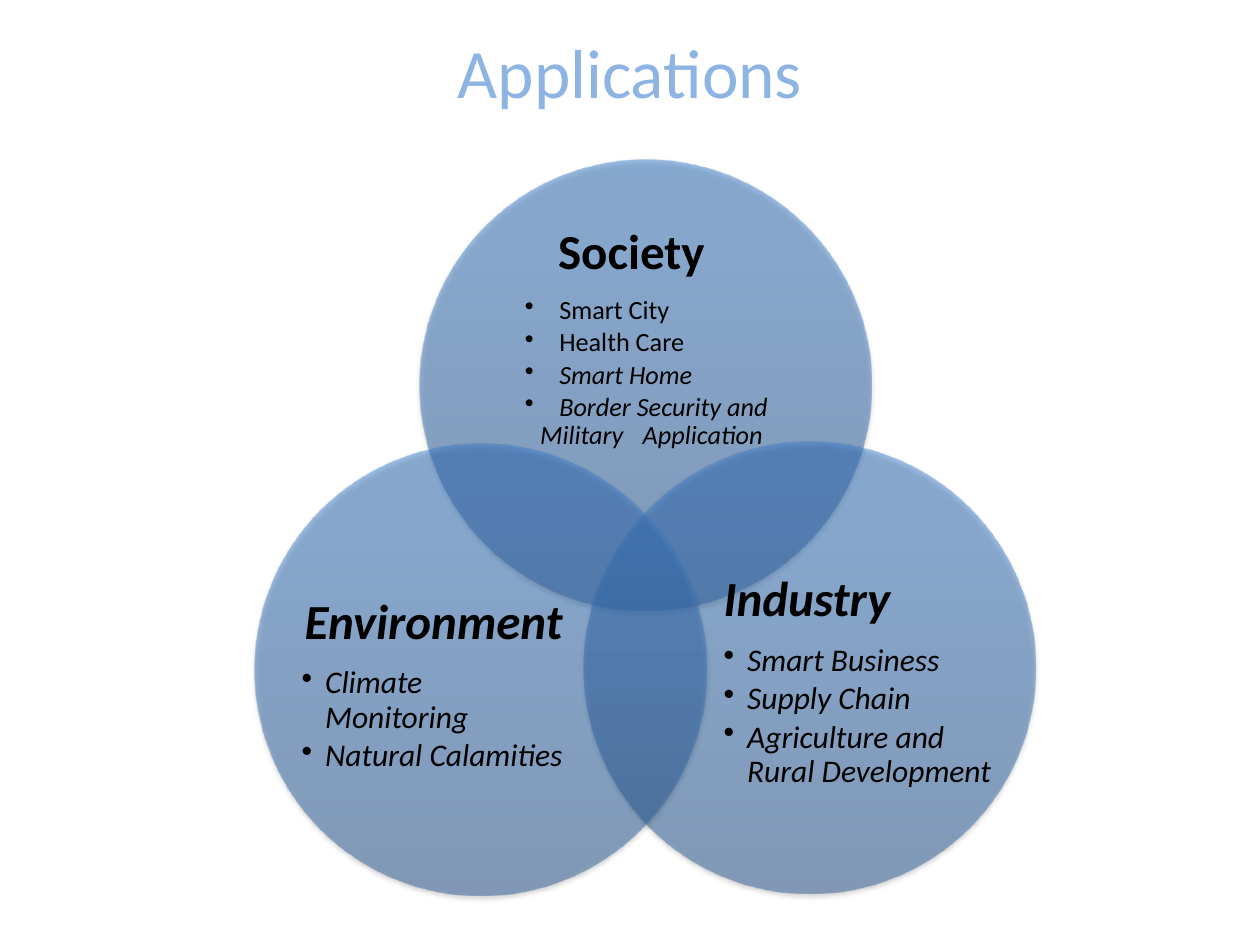
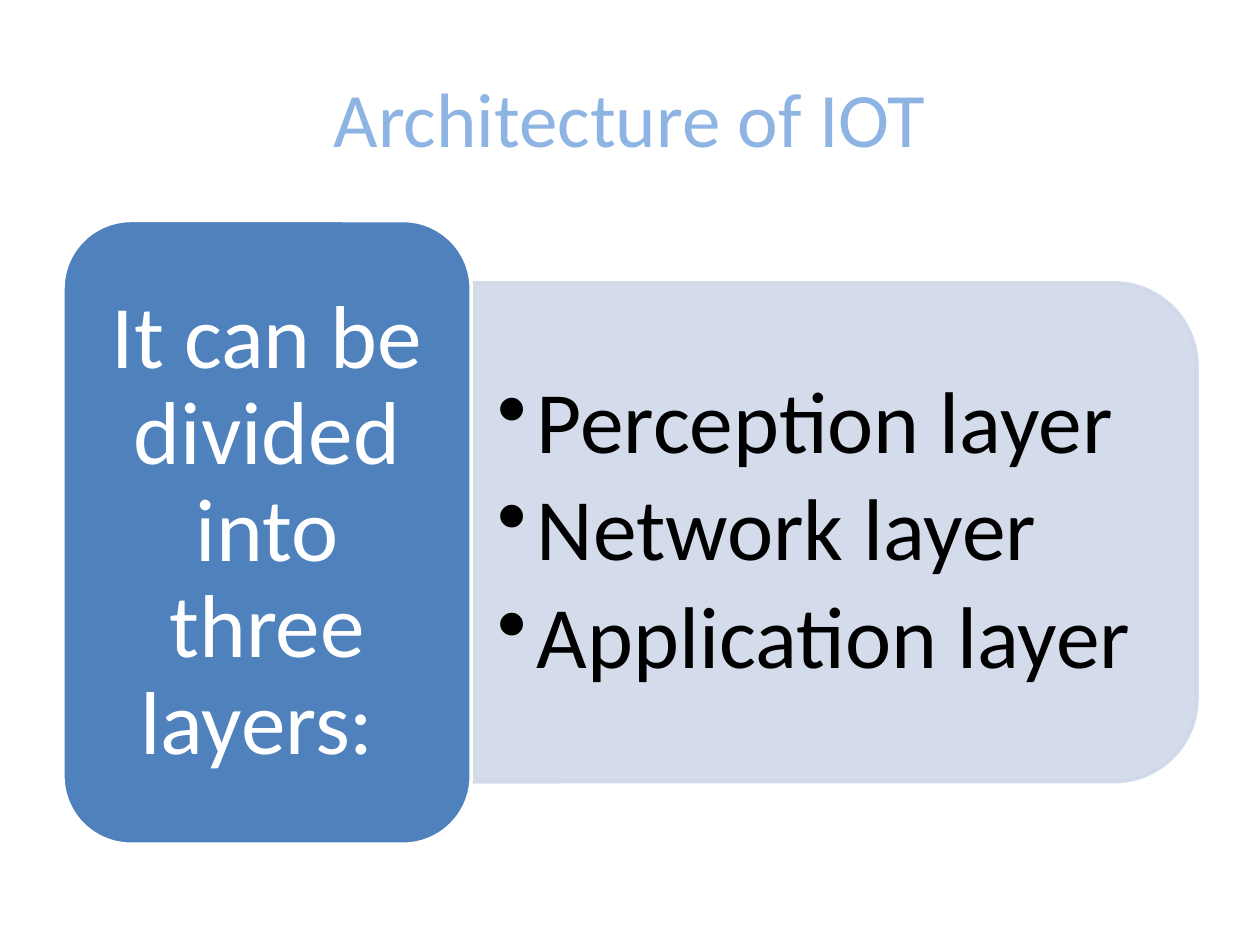
from pptx import Presentation, util as u
from pptx.dml.color import RGBColor
from pptx.enum import shapes, text
from pptx.oxml import parse_xml
from pptx.oxml.ns import nsdecls, qn

COLORS = {"title": "8EB4E3", "ink": "000000", "white": "FFFFFF", "lead": "4F81BD", "panel": "D0D8E8",
          "deep": "2F5F99", "mid": "3D7CC7", "bright": "3A7CCB"}
GAP_MARK = "~"
GAP_TRACKING = 750
CIRCLE = 258
TOPICS = [
    {"at": (94.5, 0), "text": (60, 44.6, 151, 116), "heading": "Society", "heading_style": {"indent": 18.9},
     "size": 15, "hang": 8.7,
     "items": [("~Smart City", False), ("~Health Care", False), ("~Smart Home", True),
               ("~Border Security and Military~Application", True)]},
    {"at": (188, 161.5), "text": (80, 66, 155, 142), "heading": "Industry", "heading_style": {"italic": True},
     "size": 18, "hang": 13.5,
     "items": [("Smart Business", True), ("Supply Chain", True), ("Agriculture and Rural Development", True)]},
    {"at": (0, 162.5), "text": (26.8, 67, 151, 142), "heading": "Environment",
     "heading_style": {"italic": True, "align": text.PP_ALIGN.CENTER}, "size": 18, "hang": 13.5,
     "items": [("Climate Monitoring", True), ("Natural Calamities", True)]},
]


def rgb(name):
    """Return a named palette colour."""
    return RGBColor.from_string(COLORS[name])


def points(box):
    """Turn a tuple of points into lengths."""
    return [u.Pt(value) for value in box]


def fade(shape, percent):
    """Make every colour of a shape partly transparent."""
    for color in shape._element.spPr.iter(qn("a:srgbClr")):
        color.append(parse_xml(f'<a:alpha {nsdecls("a")} val="{percent * 1000}"/>'))


def add_shape(slide, kind, box):
    """Add a preset shape without a shadow."""
    shape = slide.shapes.add_shape(kind, *points(box))
    shape.shadow.inherit = False
    return shape


def add_text(slide, box, inset=(0, 0)):
    """Add a wrapped, vertically centred text frame."""
    frame = slide.shapes.add_textbox(*points(box)).text_frame
    across, down = points(inset)
    settings = {"word_wrap": True, "vertical_anchor": text.MSO_ANCHOR.MIDDLE, "margin_left": across,
                "margin_right": across, "margin_top": down, "margin_bottom": down}
    for name, value in settings.items():
        setattr(frame, name, value)
    return frame


def write(frame, words, size, color="ink", bold=False, italic=False, align=text.PP_ALIGN.LEFT,
          indent=0, hang=0, spacing=0.9, after=0.35):
    """Write one paragraph, bulleted when it has a hanging indent."""
    first = frame.paragraphs[0]
    paragraph = first if not first.runs else frame.add_paragraph()
    settings = {"alignment": align, "line_spacing": spacing, "space_after": u.Pt(size * after),
                "level": 1 if hang else 0}
    for name, value in settings.items():
        setattr(paragraph, name, value)
    properties = paragraph._p.get_or_add_pPr()
    properties.set("marL", str(u.Pt(indent + hang)))
    properties.set("indent", str(-u.Pt(hang)))
    if hang:
        properties.append(parse_xml(f'<a:buChar {nsdecls("a")} char="•"/>'))
    for number, part in enumerate(words.split(GAP_MARK)):
        for piece in ([" "] if number else []) + ([part] if part else []):
            run = paragraph.add_run()
            run.text = piece
            font = {"name": "Calibri", "size": u.Pt(size), "bold": bold, "italic": italic}
            for name, value in font.items():
                setattr(run.font, name, value)
            run.font.color.rgb = rgb(color)
            if piece == " ":
                run._r.get_or_add_rPr().set("spc", str(GAP_TRACKING))


def add_title(slide, words, box, size):
    """Add the slide title."""
    write(add_text(slide, box, (7.2, 3.6)), words, size, "title",
          align=text.PP_ALIGN.CENTER, spacing=1.0, after=0)


def topic_circle(slide, left, top, topic):
    """Draw one translucent circle with its heading and list."""
    circle = add_shape(slide, shapes.MSO_SHAPE.OVAL, (left, top, CIRCLE, CIRCLE))
    circle.line.fill.background()
    circle.fill.gradient()
    circle.fill.gradient_angle = 90
    stops = "".join(f'<a:gs pos="{position * 1000}"><a:srgbClr val="{COLORS[name]}"/></a:gs>'
                    for position, name in ((0, "deep"), (80, "mid"), (100, "bright")))
    properties = circle._element.spPr
    old_stops = properties.find(".//" + qn("a:gsLst"))
    old_stops.getparent().replace(old_stops, parse_xml(f'<a:gsLst {nsdecls("a")}>{stops}</a:gsLst>'))
    fade(circle, 50)
    properties.find(qn("a:effectLst")).append(parse_xml(
        f'<a:outerShdw {nsdecls("a")} blurRad="{u.Pt(3.1)}" dist="{u.Pt(1.8)}" dir="5400000" rotWithShape="0">'
        f'<a:srgbClr val="{COLORS["ink"]}"><a:alpha val="35000"/></a:srgbClr></a:outerShdw>'))
    across, down, width, height = topic["text"]
    frame = add_text(slide, (left + across, top + down, width, height))
    write(frame, topic["heading"], 28, bold=True, **topic["heading_style"])
    for words, italic in topic["items"]:
        write(frame, words, topic["size"], italic=italic, hang=topic["hang"], after=0.15)


def applications(slide, left, top):
    """Build the three overlapping fields of application."""
    add_title(slide, "Applications", (36, 12.2, 648, 56), 39.6)
    for topic in TOPICS:
        across, down = topic["at"]
        topic_circle(slide, left + across, top + down, topic)


def architecture(slide, left, top, width, height):
    """Build the lead block and the panel that lists the layers."""
    add_title(slide, "Architecture of IOT", (36, 21.6, 648, 90), 44)
    lead_width, panel_height = 233.3, height * 0.8
    panel_left, panel_width = left + lead_width, width - lead_width
    panel_top = top + (height - panel_height) / 2
    shift = (panel_width - panel_height) / 2
    panel = add_shape(slide, shapes.MSO_SHAPE.ROUND_2_SAME_RECTANGLE,
                      (panel_left + shift, panel_top - shift, panel_height, panel_width))
    panel.rotation = 90
    lead = add_shape(slide, shapes.MSO_SHAPE.ROUNDED_RECTANGLE, (left, top, lead_width, height))
    for shape, fill, line in ((panel, "panel", "panel"), (lead, "lead", "white")):
        shape.fill.solid()
        shape.fill.fore_color.rgb = rgb(fill)
        shape.line.color.rgb = rgb(line)
        shape.line.width = u.Pt(2)
    fade(panel, 90)
    layers = add_text(slide, (panel_left, panel_top + 14, panel_width - 14, panel_height - 28), (15, 7.5))
    for layer in ("Perception", "Network", "Application"):
        write(layers, f"{layer} layer", 50, hang=22.5, after=0.15)
    pad = 11.4
    caption = add_text(slide, (left + pad, top + pad, lead_width - 2 * pad, height - 2 * pad), (15, 7.7))
    write(caption, "It can be divided into three layers: ", 51, "white", align=text.PP_ALIGN.CENTER)


def main():
    """Build and save the presentation."""
    deck = Presentation()
    deck.slide_width, deck.slide_height = points((720, 540))
    blank = deck.slide_layouts[6]
    applications(deck.slides.add_slide(blank), 145.5, 91)
    architecture(deck.slides.add_slide(blank), 36, 126, 648, 356.4)
    deck.save("out.pptx")


if __name__ == "__main__":
    main()
